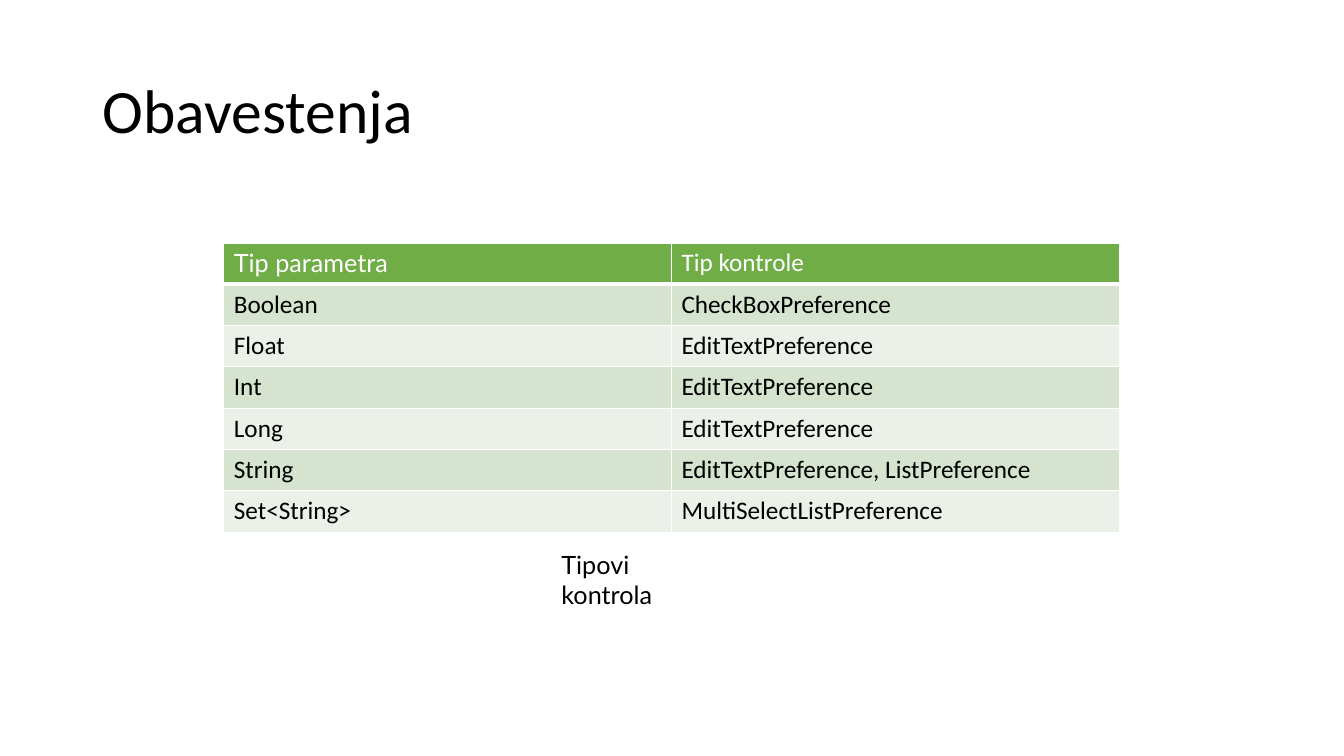
from lxml import etree
from pptx import Presentation
from pptx.dml.color import RGBColor
from pptx.enum.text import MSO_ANCHOR
from pptx.oxml.ns import qn
from pptx.util import Inches, Pt

MIDDLE = MSO_ANCHOR.MIDDLE
TITLE_ONLY = 5

TITLE = "Obavestenja"
CAPTION = "Tipovi kontrola"
ROWS = [
    ("Tip parametra", "Tip kontrole"),
    ("Boolean", "CheckBoxPreference"),
    ("Float", "EditTextPreference"),
    ("Int", "EditTextPreference"),
    ("Long", "EditTextPreference"),
    ("String", "EditTextPreference, ListPreference"),
    ("Set<String>", "MultiSelectListPreference"),
]
BLACK, WHITE = "000000", "FFFFFF"
HEADER_FILL = "70AD47"
BAND_FILLS = ("EBF1E9", "D5E3CF")
TABLE_LEFT, TABLE_TOP = 2.22, 2.41
COLUMN_WIDTH, ROW_HEIGHT = 4.44, 0.41


def color(hex_value):
    return RGBColor.from_string(hex_value)


def style(paragraph, size, font_name, hex_value):
    paragraph.font.size = Pt(size)
    paragraph.font.name = font_name
    paragraph.font.bold = False
    paragraph.font.color.rgb = color(hex_value)


def add_borders(cell, bottom_width):
    """Draw white cell borders; the bottom one has its own width in points."""
    properties = cell._tc.get_or_add_tcPr()
    for tag, width in (("a:lnL", 1), ("a:lnR", 1), ("a:lnT", 1), ("a:lnB", bottom_width)):
        line = etree.SubElement(properties, qn(tag), w=str(Pt(width)))
        fill = etree.SubElement(line, qn("a:solidFill"))
        etree.SubElement(fill, qn("a:srgbClr"), val=WHITE)


def add_title(page):
    title = page.shapes.title
    title.left, title.top = Inches(0.92), Inches(0.4)
    title.width, title.height = Inches(11.5), Inches(1.45)
    frame = title.text_frame
    frame.text = TITLE
    frame.vertical_anchor = MIDDLE
    para = frame.paragraphs[0]
    para.alignment = 1  # left
    para.line_spacing = 0.9
    style(para, 44, "Calibri", BLACK)


def add_control_table(page):
    column_count = len(ROWS[0])
    table = page.shapes.add_table(
        len(ROWS), column_count, Inches(TABLE_LEFT), Inches(TABLE_TOP),
        Inches(COLUMN_WIDTH * column_count), Inches(ROW_HEIGHT * len(ROWS))).table
    for row_index, row in enumerate(ROWS):
        is_header = row_index == 0
        for column_index, text in enumerate(row):
            cell = table.cell(row_index, column_index)
            cell.text = text
            font_name = "Lato" if is_header and column_index == 0 else "Calibri"
            style(cell.text_frame.paragraphs[0], 18, font_name, WHITE if is_header else BLACK)
            add_borders(cell, 3 if is_header else 1)
            cell.fill.solid()
            cell.fill.fore_color.rgb = color(HEADER_FILL if is_header else BAND_FILLS[row_index % 2])


def add_caption(page):
    box = page.shapes.add_textbox(Inches(5.47), Inches(5.4), Inches(1.8), Inches(0.4))
    frame = box.text_frame
    frame.word_wrap = True
    frame.text = CAPTION
    style(frame.paragraphs[0], 18, "Lato", BLACK)


def main():
    deck = Presentation()
    deck.slide_width, deck.slide_height = Inches(13.33), Inches(7.5)
    page = deck.slides.add_slide(deck.slide_layouts[TITLE_ONLY])
    add_title(page)
    add_control_table(page)
    add_caption(page)
    deck.save("out.pptx")


if __name__ == "__main__":
    main()
